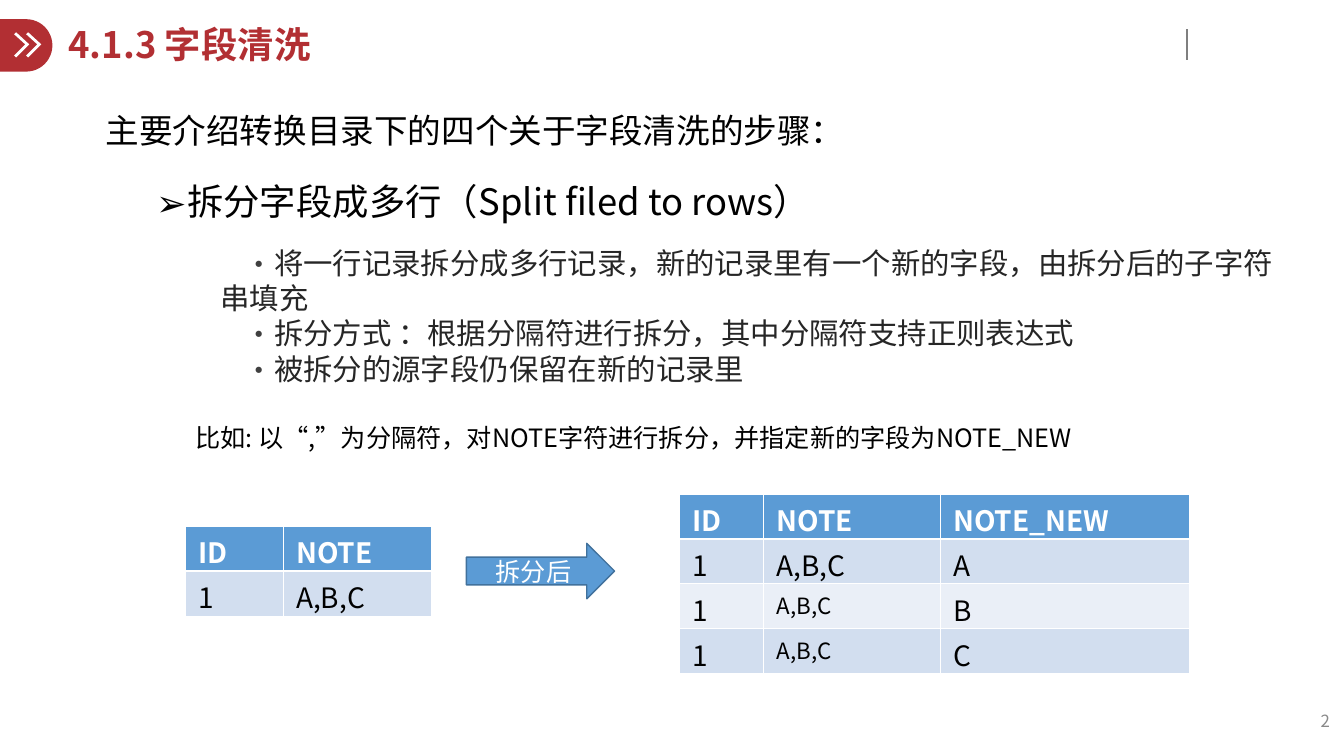
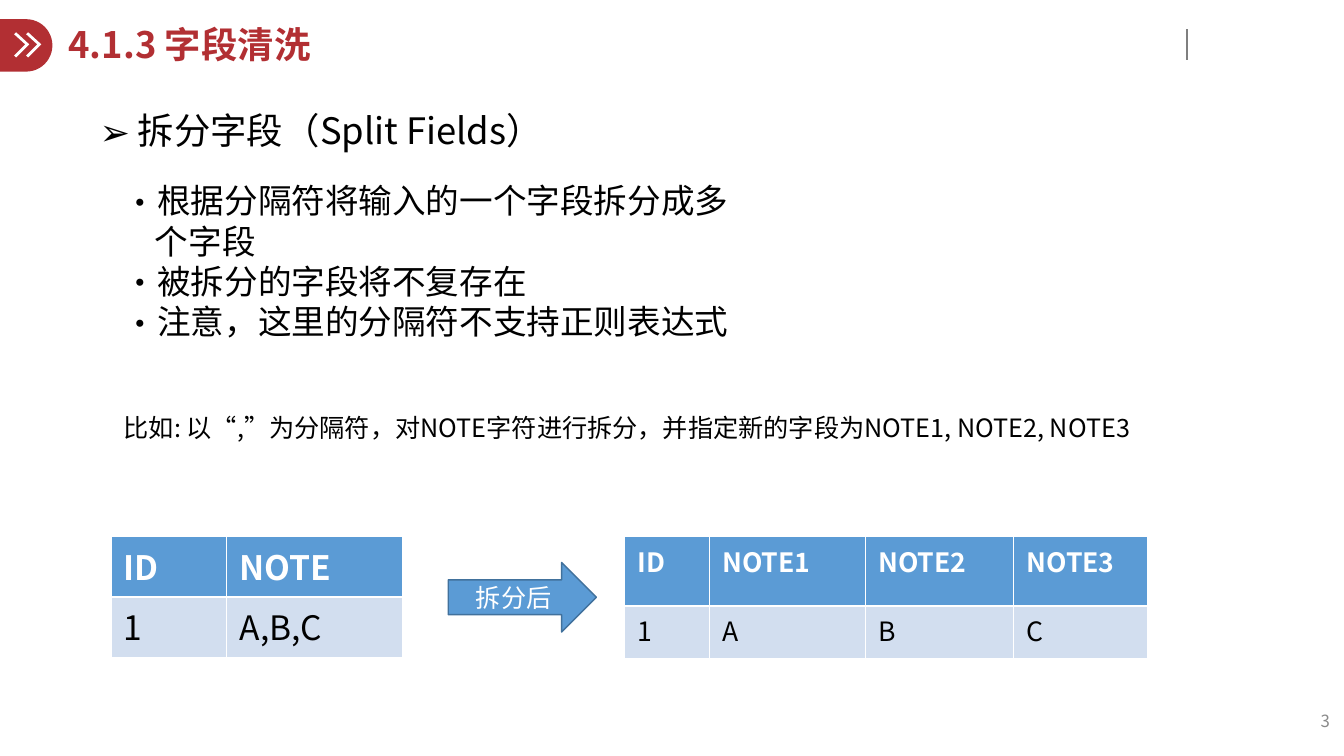
import pptx
import pptx.dml.color
import pptx.enum.shapes
import pptx.enum.text
import pptx.oxml.ns
import pptx.util
from lxml import etree

Inches, Pt = pptx.util.Inches, pptx.util.Pt
SHAPE = pptx.enum.shapes.MSO_SHAPE
ANCHOR = pptx.enum.text.MSO_ANCHOR
ALIGN = pptx.enum.text.PP_ALIGN
qn = pptx.oxml.ns.qn

FONT = "Noto Sans CJK SC"
COLORS = {
    "accent": "B22F33", "white": "FFFFFF", "black": "000000",
    "rule": "7F7F7F", "number": "898989", "body": "262626", "bullet": "404040",
    "header": "5B9BD5", "band_dark": "D2DEEF", "band_light": "EAEFF7",
    "arrow_line": "41719C",
}
THIN, THICK = 0.45, 1.47


def rgb(name):
    return pptx.dml.color.RGBColor.from_string(COLORS[name])


def fill(target, color):
    target.fill.solid()
    target.fill.fore_color.rgb = rgb(color)


def add_run(p, text, size, color, bold=False):
    r = p.add_run()
    r.text = text
    r.font.name = FONT
    r.font.size = Pt(size)
    r.font.bold = bold
    r.font.color.rgb = rgb(color)
    etree.SubElement(r.font._element, qn("a:ea")).set("typeface", FONT)


def add_bullet(p, char, color, margin, indent):
    pPr = p._p.get_or_add_pPr()
    pPr.set("marL", str(Inches(margin)))
    pPr.set("indent", str(Inches(indent)))
    clr = etree.SubElement(pPr, qn("a:buClr"))
    etree.SubElement(clr, qn("a:srgbClr")).set("val", COLORS[color])
    etree.SubElement(pPr, qn("a:buFont")).set("typeface", FONT)
    etree.SubElement(pPr, qn("a:buChar")).set("char", char)


def add_text(s, box, lines, size, color="black", bullet=None):
    """bullet is (character, colour, left margin, first-line indent)."""
    tf = s.shapes.add_textbox(*map(Inches, box)).text_frame
    tf.word_wrap = True
    tf.auto_size = pptx.enum.text.MSO_AUTO_SIZE.SHAPE_TO_FIT_TEXT
    for i, line in enumerate(lines):
        p = tf.add_paragraph() if i else tf.paragraphs[0]
        if bullet:
            add_bullet(p, *bullet)
        add_run(p, line, size, color)
    return tf


# Shared frame: title, badge, rule and page number
def add_chevron(s, x, y):
    outline = [(0, 0.02), (0.02, 0), (0.15, 0.12), (0.02, 0.25), (0, 0.23), (0.11, 0.12)]
    points = [(Inches(x + dx), Inches(y + dy)) for dx, dy in outline]
    builder = s.shapes.build_freeform(*points[0], scale=1.0)
    builder.add_line_segments(points[1:], close=True)
    chevron = builder.convert_to_shape()
    chevron.shadow.inherit = False
    fill(chevron, "white")
    chevron.line.fill.background()


def add_badge(s, x, y, side):
    badge = s.shapes.add_shape(SHAPE.FLOWCHART_DELAY, *map(Inches, (x, y, side, side)))
    badge.shadow.inherit = False
    fill(badge, "accent")
    badge.line.fill.background()
    for dx in (0.14, 0.26):
        add_chevron(s, x + dx, y + 0.13)


def add_rule(s, x, top, bottom):
    rule = s.shapes.add_connector(pptx.enum.shapes.MSO_CONNECTOR.STRAIGHT,
                                  *map(Inches, (x, top, x, bottom)))
    rule.line.color.rgb = rgb("rule")
    rule.line.width = Pt(1)
    etree.SubElement(rule._element.spPr, qn("a:effectLst"))


def add_page_number(s, box, number):
    tf = s.shapes.add_textbox(*map(Inches, box)).text_frame
    tf.word_wrap = True
    tf.vertical_anchor = ANCHOR.MIDDLE
    tf.margin_left = tf.margin_right = Inches(0.13)
    tf.margin_top = tf.margin_bottom = Inches(0.07)
    p = tf.paragraphs[0]
    p.alignment = ALIGN.RIGHT
    add_run(p, str(number), 12, "number")


def new_slide(prs, title, number):
    s = prs.slides.add_slide(prs.slide_layouts[5])
    sp = s.shapes.title
    sp.left, sp.top, sp.width, sp.height = map(Inches, (0.58, 0.19, 9.73, 0.54))
    tf = sp.text_frame
    tf.vertical_anchor = ANCHOR.MIDDLE
    p = tf.paragraphs[0]
    p.alignment = ALIGN.LEFT
    p.line_spacing = 0.9
    add_run(p, title, 26, "accent", bold=True)
    add_badge(s, 0, 0.19, 0.52)
    add_rule(s, 11.78, 0.29, 0.6)
    add_page_number(s, (10.33, 6.95, 3, 0.4), number)
    return s


# Before and after tables with the arrow between them
def set_borders(cell, top, bottom):
    tcPr = cell._tc.get_or_add_tcPr()
    for side, width in (("L", THIN), ("R", THIN), ("T", top), ("B", bottom)):
        ln = etree.SubElement(tcPr, qn("a:ln" + side))
        ln.set("w", str(Pt(width)))
        solid = etree.SubElement(ln, qn("a:solidFill"))
        etree.SubElement(solid, qn("a:srgbClr")).set("val", COLORS["white"])


def add_table(s, x, y, widths, heights, rows, size, special_sizes=None):
    special_sizes = special_sizes or {}
    box = map(Inches, (x, y, sum(widths), sum(heights)))
    table = s.shapes.add_table(len(rows), len(widths), *box).table
    for column, width in zip(table.columns, widths):
        column.width = Inches(width)
    for i, row in enumerate(rows):
        table.rows[i].height = Inches(heights[i])
        header = i == 0
        band = "header" if header else "band_dark" if i % 2 else "band_light"
        for j, text in enumerate(row):
            cell = table.cell(i, j)
            cell.margin_left = cell.margin_right = Inches(0.13)
            cell.margin_top = cell.margin_bottom = Inches(0.05)
            set_borders(cell, THICK if i == 1 else THIN, THICK if header else THIN)
            fill(cell, band)
            add_run(cell.text_frame.paragraphs[0], text, special_sizes.get((i, j), size),
                    "white" if header else "black", bold=header)


def add_split_arrow(s, box):
    arrow = s.shapes.add_shape(SHAPE.RIGHT_ARROW, *map(Inches, box))
    arrow.shadow.inherit = False
    fill(arrow, "header")
    arrow.line.color.rgb = rgb("arrow_line")
    arrow.line.width = Pt(1)
    tf = arrow.text_frame
    tf.vertical_anchor = ANCHOR.MIDDLE
    p = tf.paragraphs[0]
    p.alignment = ALIGN.CENTER
    add_run(p, "拆分后", 18, "white")


def add_example(s, x, y, fields):
    text = f"比如: 以“,”为分隔符，对NOTE字符进行拆分，并指定新的字段为{fields}"
    add_text(s, (x, y, 10.71, 0.4), [text], 18)


def split_to_rows_slide(prs, title):
    s = new_slide(prs, title, 2)
    add_text(s, (0.95, 1.04, 7.8, 0.5), ["主要介绍转换目录下的四个关于字段清洗的步骤："], 24)
    add_text(s, (1.45, 1.73, 6.88, 0.54), ["拆分字段成多行（Split filed to rows）"], 26,
             bullet=("➢", "black", 0.31, -0.31))
    tf = add_text(s, (1.62, 2.38, 11.14, 1.5), [
        "将一行记录拆分成多行记录，新的记录里有一个新的字段，由拆分后的子字符串填充",
        "拆分方式 ：根据分隔符进行拆分，其中分隔符支持正则表达式",
        "被拆分的源字段仍保留在新的记录里",
    ], 21, "body", bullet=("•", "bullet", 0.47, 0.24))
    for p in tf.paragraphs:
        p.level = 1
    row_height = 1.78 / 4
    add_example(s, 1.84, 4.14, "NOTE_NEW")
    add_table(s, 1.84, 5.22, [0.97, 1.47], [row_height] * 2,
              [["ID", "NOTE"], ["1", "A,B,C"]], 20)
    add_split_arrow(s, (4.63, 5.39, 1.47, 0.55))
    rows = [["ID", "NOTE", "NOTE_NEW"]] + [["1", "A,B,C", part] for part in "ABC"]
    add_table(s, 6.74, 4.9, [0.84, 1.75, 2.47], [row_height] * 4, rows, 20,
              special_sizes={(2, 1): 16, (3, 1): 16})


def split_fields_slide(prs, title):
    s = new_slide(prs, title, 3)
    add_text(s, (0.89, 1.02, 5, 0.54), ["拆分字段（Split Fields）"], 26,
             bullet=("➢", "black", 0.38, -0.38))
    add_text(s, (1.13, 1.74, 6.28, 1.7), [
        "根据分隔符将输入的一个字段拆分成多个字段",
        "被拆分的字段将不复存在",
        "注意，这里的分隔符不支持正则表达式",
    ], 24, bullet=("•", "black", 0.31, -0.31))
    add_example(s, 1.13, 4.04, "NOTE1, NOTE2, NOTE3")
    add_table(s, 1.1, 5.32, [1.15, 1.74], [0.6] * 2, [["ID", "NOTE"], ["1", "A,B,C"]], 24)
    add_split_arrow(s, (4.45, 5.58, 1.47, 0.69))
    add_table(s, 6.2, 5.32, [0.84, 1.55, 1.47, 1.33], [0.69, 0.52],
              [["ID", "NOTE1", "NOTE2", "NOTE3"], ["1", "A", "B", "C"]], 19)


def main():
    prs = pptx.Presentation()
    prs.slide_width, prs.slide_height = Inches(13.34), Inches(7.5)
    title = "4.1.3 字段清洗"
    split_to_rows_slide(prs, title)
    split_fields_slide(prs, title)
    prs.save("out.pptx")


if __name__ == "__main__":
    main()
